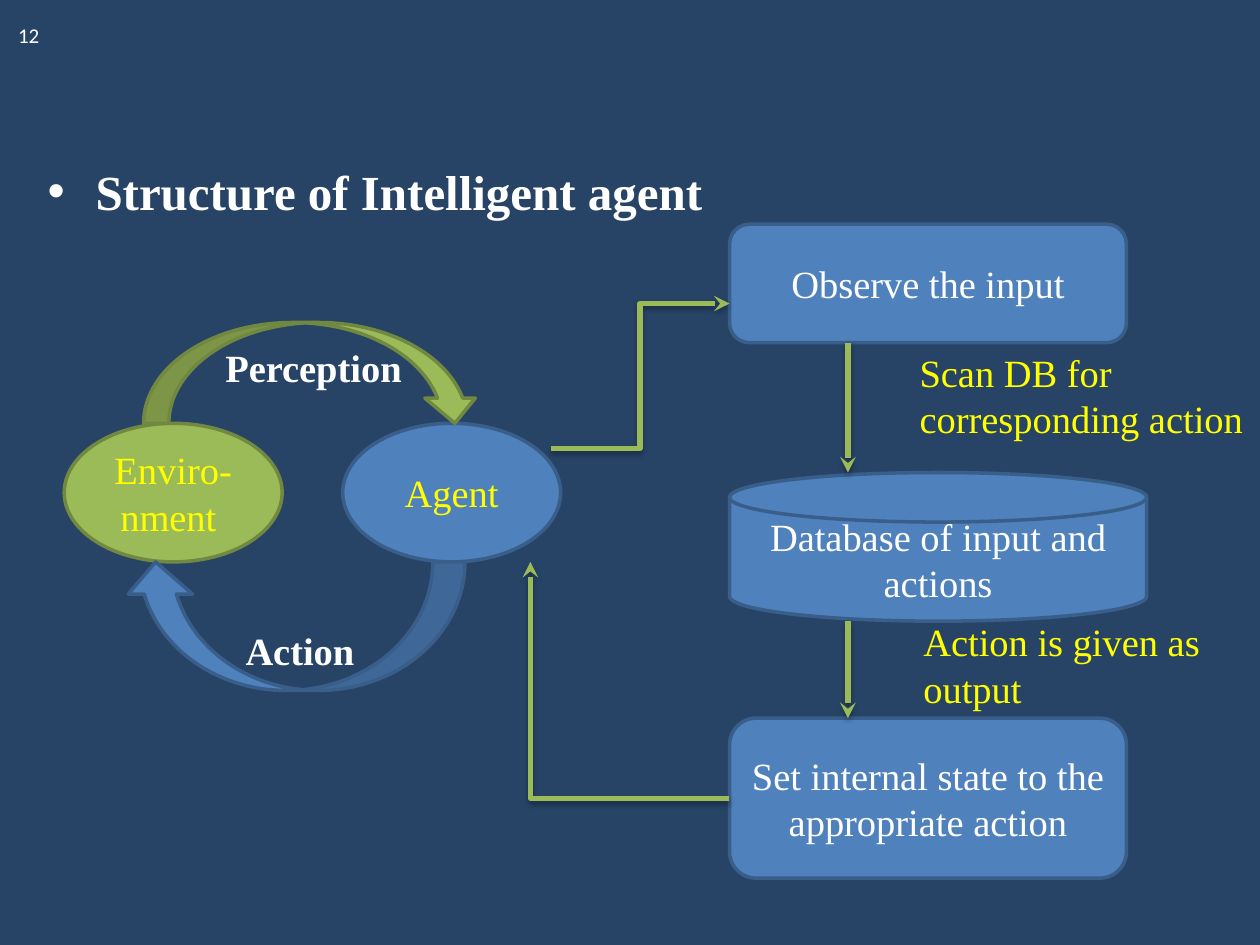
"""Build a slide showing the structure of an intelligent agent."""
import lxml.etree
import pptx
import pptx.dml.color
import pptx.enum.shapes
import pptx.enum.text
import pptx.oxml.ns
import pptx.util

RGBColor = pptx.dml.color.RGBColor
Shape = pptx.enum.shapes.MSO_SHAPE
Connector = pptx.enum.shapes.MSO_CONNECTOR
Align = pptx.enum.text.PP_ALIGN
Anchor = pptx.enum.text.MSO_ANCHOR
Inches, Pt, qn = pptx.util.Inches, pptx.util.Pt, pptx.oxml.ns.qn

NAVY = RGBColor(0x27, 0x44, 0x67)
WHITE = RGBColor(0xFF, 0xFF, 0xFF)
YELLOW = RGBColor(0xFF, 0xFF, 0x00)
GREEN = RGBColor(0x9B, 0xBB, 0x59)
GREEN_EDGE = RGBColor(0x71, 0x88, 0x40)
BLUE = RGBColor(0x4F, 0x81, 0xBD)
BLUE_EDGE = RGBColor(0x39, 0x5E, 0x89)
SERIF = "Times New Roman"

ENVIRONMENT_X, AGENT_X, CYCLE_Y = 0.51, 2.72, 3.36
OVAL_W, OVAL_H = 1.73, 1.1
CYCLE_BOTTOM = CYCLE_Y + OVAL_H
STEP_X, STEP_W = 5.79, 3.15
OBSERVE_Y, OBSERVE_H = 1.78, 0.94
DATABASE_Y, DATABASE_H = 3.75, 1.18
STATE_Y, STATE_H = 5.7, 1.27
FLOW_X = 6.73
NOTE_H = 0.84

NODES = [
    (Shape.OVAL, "Enviro-nment ", (ENVIRONMENT_X, CYCLE_Y, OVAL_W, OVAL_H), 0, GREEN, GREEN_EDGE, YELLOW),
    (Shape.OVAL, "Agent", (AGENT_X, CYCLE_Y, OVAL_W, OVAL_H), 0, BLUE, BLUE_EDGE, YELLOW),
    (Shape.CURVED_DOWN_ARROW, "", (1.14, CYCLE_Y - 0.8, 2.67, 0.8), 0, GREEN, GREEN_EDGE, WHITE),
    (Shape.CURVED_DOWN_ARROW, "", (0.98, CYCLE_BOTTOM, 2.71, 1.02), 180, BLUE, BLUE_EDGE, WHITE),
    (Shape.ROUNDED_RECTANGLE, "Observe the input",
     (STEP_X, OBSERVE_Y, STEP_W, OBSERVE_H), 0, BLUE, BLUE_EDGE, WHITE),
    (Shape.ROUNDED_RECTANGLE, "Set internal state to the appropriate action",
     (STEP_X, STATE_Y, STEP_W, STATE_H), 0, BLUE, BLUE_EDGE, WHITE),
    (Shape.FLOWCHART_MAGNETIC_DISK, "Database of input and actions",
     (STEP_X, DATABASE_Y, 3.31, DATABASE_H), 0, BLUE, BLUE_EDGE, WHITE),
]
LABELS = [
    ("Perception", (1.69, 2.68, 1.97, 0.47), WHITE, True),
    ("Action", (1.85, 4.93, 1.58, 0.47), WHITE, True),
    ("Scan DB for corresponding action", (7.2, OBSERVE_Y + OBSERVE_H, STEP_W, NOTE_H), YELLOW, False),
    ("Action is given as output", (7.23, STATE_Y - NOTE_H, STEP_W, NOTE_H), YELLOW, False),
]
FLOWS = [
    ("line", (FLOW_X, OBSERVE_Y + OBSERVE_H), (FLOW_X, DATABASE_Y)),
    ("line", (FLOW_X, DATABASE_Y + DATABASE_H), (FLOW_X, STATE_Y)),
    ("bentConnector3", (4.37, 3.56), (STEP_X, 2.41)),
    ("bentConnector2", (STEP_X, STATE_Y + STATE_H / 2), (4.21, CYCLE_BOTTOM)),
]


def write(shape, text, size, color, align=Align.LEFT, anchor=Anchor.TOP, bold=False, font=SERIF):
    frame = shape.text_frame
    frame.word_wrap = True
    frame.vertical_anchor = anchor
    paragraph = frame.paragraphs[0]
    paragraph.text = text
    paragraph.alignment = align
    paragraph.font.name = font
    paragraph.font.size = Pt(size)
    paragraph.font.bold = bold
    paragraph.font.color.rgb = color


def add_label(slide, text, box, size, color, **style):
    label = slide.shapes.add_textbox(*map(Inches, box))
    write(label, text, size, color, **style)
    return label


def add_heading(slide, text):
    heading = slide.shapes.add_textbox(*map(Inches, (0.28, 1.23, 9.45, 5.91)))
    properties = heading.text_frame.paragraphs[0]._p.get_or_add_pPr()
    properties.set("marL", str(Inches(0.38)))
    properties.set("indent", str(-Inches(0.38)))
    lxml.etree.SubElement(properties, qn("a:buFont"), typeface="Arial")
    lxml.etree.SubElement(properties, qn("a:buChar"), char="•")
    write(heading, text, 28, WHITE, bold=True)


def add_node(slide, kind, text, box, rotation, fill, edge, color):
    node = slide.shapes.add_shape(kind, *map(Inches, box))
    node.shadow.inherit = False
    node.rotation = rotation
    node.fill.solid()
    node.fill.fore_color.rgb = fill
    node.line.color.rgb = edge
    node.line.width = Pt(2)
    if text:
        write(node, text, 22, color, Align.CENTER, Anchor.MIDDLE)


def add_flow(slide, preset, start, end):
    kind = Connector.STRAIGHT if preset == "line" else Connector.ELBOW
    flow = slide.shapes.add_connector(kind, *map(Inches, start + end))
    flow.line.color.rgb = GREEN
    flow.line.width = Pt(3)
    properties = flow._element.spPr
    properties.find(qn("a:prstGeom")).set("prst", preset)
    lxml.etree.SubElement(properties.find(qn("a:ln")), qn("a:tailEnd"), type="stealth")
    effects = lxml.etree.SubElement(properties, qn("a:effectLst"))
    shadow = lxml.etree.SubElement(effects, qn("a:outerShdw"), blurRad=str(Pt(3.1)),
                                   dist=str(Pt(1.8)), dir="5400000", rotWithShape="0")
    black = lxml.etree.SubElement(shadow, qn("a:srgbClr"), val="000000")
    lxml.etree.SubElement(black, qn("a:alpha"), val="35000")


def main():
    deck = pptx.Presentation()
    deck.slide_width, deck.slide_height = Inches(10), Inches(7.5)
    slide = deck.slides.add_slide(deck.slide_layouts[6])
    slide.background.fill.solid()
    slide.background.fill.fore_color.rgb = NAVY

    add_heading(slide, "Structure of Intelligent agent")
    add_label(slide, "12", (0, 0, 0.41, 0.55), 12, WHITE,
              align=Align.RIGHT, anchor=Anchor.MIDDLE, font="Calibri")
    for node in NODES:
        add_node(slide, *node)
    for text, box, color, bold in LABELS:
        label = add_label(slide, text, box, 22, color, bold=bold)
        label.text_frame.auto_size = pptx.enum.text.MSO_AUTO_SIZE.SHAPE_TO_FIT_TEXT
    for flow in FLOWS:
        add_flow(slide, *flow)
    deck.save("out.pptx")


if __name__ == "__main__":
    main()
